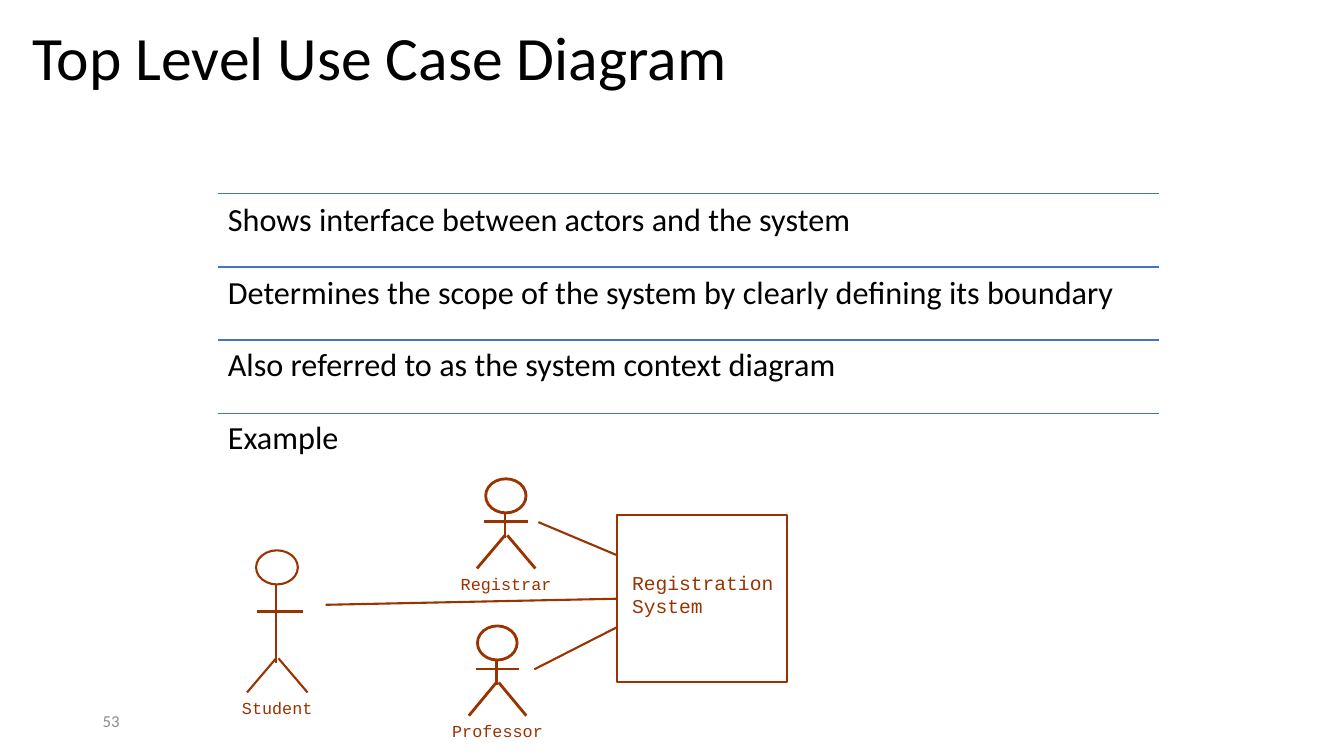
from pptx import Presentation
from pptx.dml.color import RGBColor
from pptx.enum.shapes import MSO_CONNECTOR, MSO_SHAPE
from pptx.enum.text import MSO_ANCHOR, MSO_AUTO_SIZE, PP_ALIGN
from pptx.oxml.ns import qn
from pptx.util import Inches, Pt

COLORS = {"text": "000000", "rule": "4472C4", "diagram": "993300", "number": "8C8C8C"}
POINTS = [
    "Shows interface between actors and the system",
    "Determines the scope of the system by clearly defining its boundary",
    "Also referred to as the system context diagram",
    "Example",
]
SHORT = {"head": 0.38, "arms": 0.48, "hip": 0.63, "reach": 0.12}
TALL = {"head": 0.24, "arms": 0.43, "hip": 0.76, "reach": 0.17}
ACTORS = [
    ("Registrar", (4.73, 4.75, 0.58, 0.89), SHORT, 2),
    ("Professor", (4.65, 6.21, 0.57, 0.89), SHORT, 2),
    ("Student", (2.45, 5.46, 0.6, 1.41), TALL, 1.5),
]


def rgb(name):
    """Return the named palette colour."""
    return RGBColor.from_string(COLORS[name])


def place(sp, box):
    """Move and size a shape to a box in inches."""
    sp.left, sp.top, sp.width, sp.height = (Inches(v) for v in box)


def add_run(p, text, size, color, font="Calibri"):
    """Add one formatted run to a paragraph."""
    r = p.add_run()
    r.text = text
    r.font.size = Pt(size)
    r.font.name = font
    r.font.color.rgb = rgb(color)


def add_line(s, start, end, color, width):
    """Draw a straight line between two points."""
    line = s.shapes.add_connector(
        MSO_CONNECTOR.STRAIGHT, *(Inches(v) for v in (*start, *end)))
    line.line.color.rgb = rgb(color)
    line.line.width = Pt(width)
    sp_pr = line._element.spPr
    sp_pr.append(sp_pr.makeelement(qn("a:effectLst"), {}))
    return line


def add_outline(s, kind, box, width):
    """Draw an unfilled preset shape of the diagram."""
    sp = s.shapes.add_shape(kind, *(Inches(v) for v in box))
    sp.shadow.inherit = False
    sp.fill.background()
    sp.line.color.rgb = rgb("diagram")
    sp.line.width = Pt(width)
    return sp


def add_text(s, box, lines, size, color, font, align=PP_ALIGN.LEFT, wrap=False):
    """Add a vertically centred text box with one paragraph per line."""
    tf = s.shapes.add_textbox(*(Inches(v) for v in box)).text_frame
    tf.word_wrap = wrap
    tf.vertical_anchor = MSO_ANCHOR.MIDDLE
    for i, text in enumerate(lines):
        p = tf.add_paragraph() if i else tf.paragraphs[0]
        p.alignment = align
        add_run(p, text, size, color, font)


def add_title(s, box, text):
    """Fill the title placeholder."""
    title = s.shapes.title
    place(title, box)
    tf = title.text_frame
    tf.auto_size = MSO_AUTO_SIZE.NONE
    tf.vertical_anchor = MSO_ANCHOR.MIDDLE
    p = tf.paragraphs[0]
    p.alignment = PP_ALIGN.LEFT
    p.line_spacing = 0.9
    add_run(p, text, 44, "text")


def add_points(s, box, points):
    """Fill the body placeholder, with a rule above each point."""
    x, y, w, h = box
    row = h / len(points)
    body = s.placeholders[1]
    place(body, box)
    tf = body.text_frame
    tf.auto_size = MSO_AUTO_SIZE.NONE
    tf.vertical_anchor = MSO_ANCHOR.TOP
    tf.margin_left = tf.margin_top = tf.margin_right = tf.margin_bottom = Inches(0.1)
    for i, text in enumerate(points):
        add_line(s, (x, y + i * row), (x + w, y + i * row), "rule", 1)
        p = tf.add_paragraph() if i else tf.paragraphs[0]
        p_pr = p._p.get_or_add_pPr()
        p_pr.set("marL", "0")
        p_pr.set("indent", "0")
        p_pr.append(p_pr.makeelement(qn("a:buNone"), {}))
        p.line_spacing = 0.9
        p.space_before = Pt(0)
        p.space_after = Pt(27)
        add_run(p, text, 23, "text")


def add_actor(s, box, name, build, width):
    """Draw a stick figure in a box, with its name below."""
    x, y, w, h = box
    head, arms, hip, reach = (build[k] for k in ("head", "arms", "hip", "reach"))
    add_outline(s, MSO_SHAPE.OVAL,
                (x + 0.15 * w, y, 0.69 * w, head * h), width)
    limbs = [
        ((0.48, hip), (0, 1)),
        ((0.52, hip), (1, 1)),
        ((0.48, head), (0.48, hip + 0.03)),
        ((reach, arms), (reach + 0.75, arms)),
    ]
    for (x1, y1), (x2, y2) in limbs:
        add_line(s, (x + x1 * w, y + y1 * h), (x + x2 * w, y + y2 * h), "diagram", width)
    add_text(s, (x + w / 2 - 0.55, y + h, 1.1, 0.3), [name], 12, "diagram",
             "Courier New", PP_ALIGN.CENTER)


def add_system(s, box):
    """Draw the system box and the lines that link the actors to it."""
    x, y, w, h = box
    system = add_outline(s, MSO_SHAPE.RECTANGLE, box, 1.5)
    add_text(s, (x + 0.05, y + 0.3 * h, w - 0.08, 0.57),
             ["Registration", "System"], 14, "diagram", "Courier New")
    add_line(s, (5.34, 5.18), (x, y + 0.24 * h), "diagram", 1.5)
    add_line(s, (5.3, 6.64), (x, y + 0.67 * h), "diagram", 1.5)
    student = add_line(s, (3.23, 6), (x, y + h / 2), "diagram", 1.5)
    student.end_connect(system, 1)


def main():
    """Build and save the slide."""
    prs = Presentation()
    prs.slide_width, prs.slide_height = Inches(13.33), Inches(7.5)
    s = prs.slides.add_slide(prs.slide_layouts[1])
    add_title(s, (0.22, 0, 9.43, 1.21), "Top Level Use Case Diagram")
    add_points(s, (2.16, 1.92, 9.34, 2.91), POINTS)
    for name, box, build, width in ACTORS:
        add_actor(s, box, name, build, width)
    add_system(s, (6.12, 5.11, 1.69, 1.66))
    add_text(s, (0.92, 6.95, 3, 0.4), ["53"], 12, "number", "Calibri", wrap=True)
    prs.save("out.pptx")


if __name__ == "__main__":
    main()
